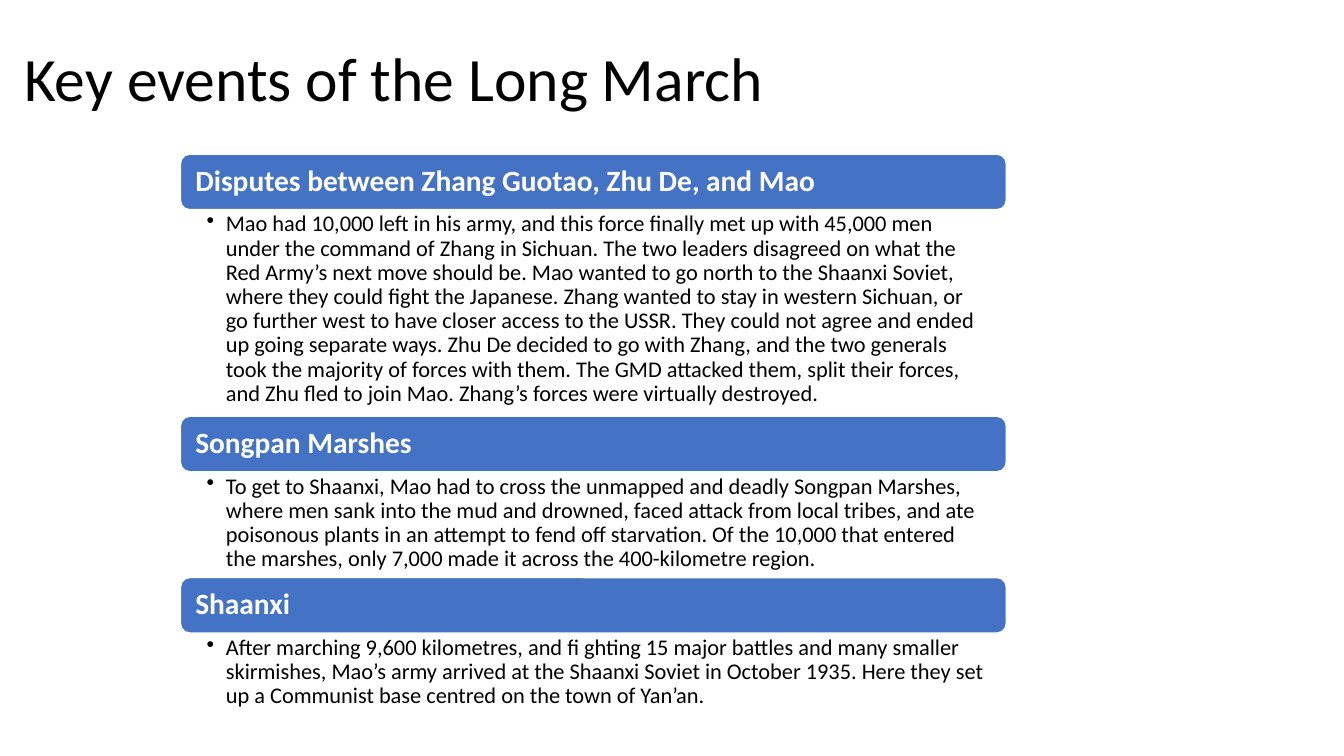
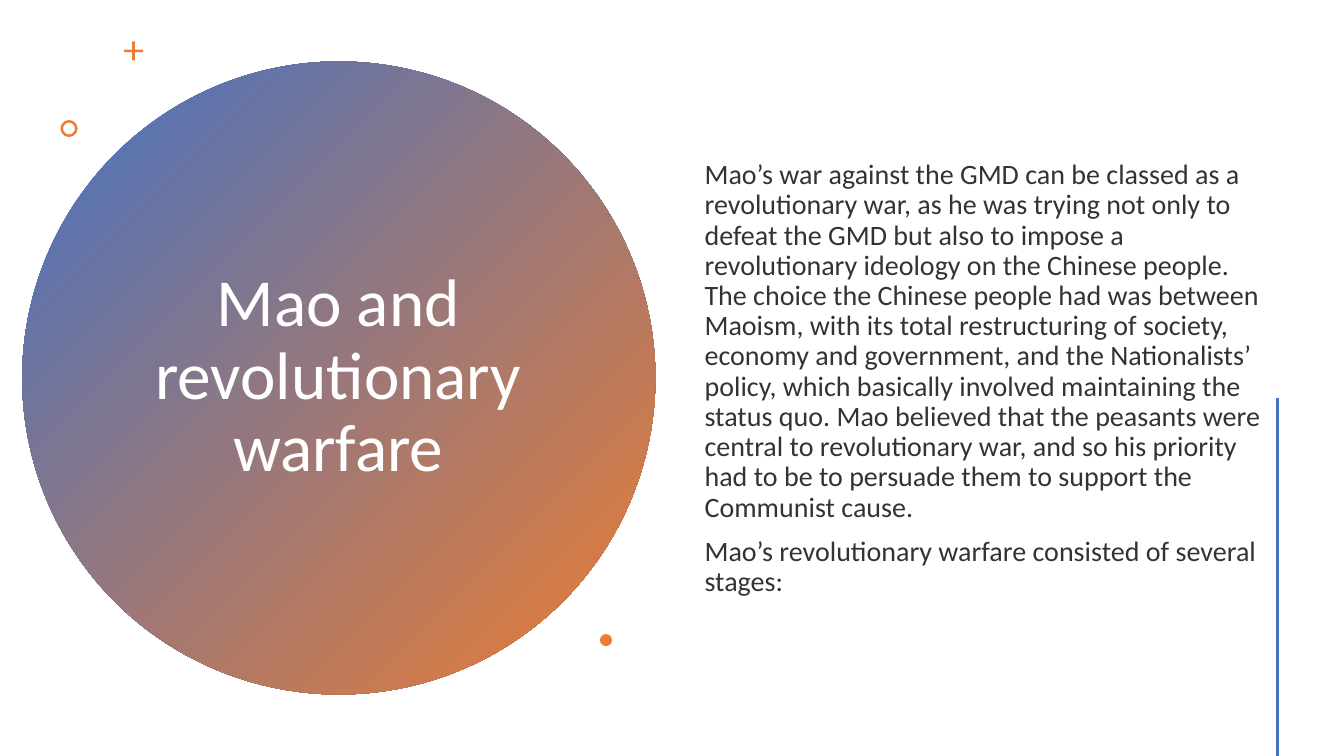
from lxml import etree
from pptx import Presentation
from pptx.dml.color import RGBColor
from pptx.enum.shapes import MSO_CONNECTOR, MSO_SHAPE
from pptx.enum.text import MSO_ANCHOR, PP_ALIGN
from pptx.oxml.ns import qn
from pptx.util import Inches, Pt

STRAIGHT = MSO_CONNECTOR.STRAIGHT
ROUNDED, OVAL = MSO_SHAPE.ROUNDED_RECTANGLE, MSO_SHAPE.OVAL
CROSS, DONUT = MSO_SHAPE.CROSS, MSO_SHAPE.DONUT
TOP, MIDDLE = MSO_ANCHOR.TOP, MSO_ANCHOR.MIDDLE
LEFT, CENTER = PP_ALIGN.LEFT, PP_ALIGN.CENTER

FONT = "Calibri"
BLUE, ORANGE = "4472C4", "ED7D31"
WHITE, BLACK, DARK_GREY = "FFFFFF", "000000", "333333"
LINE_SPACING = 0.9
BOX_INSETS = (0.1, 0.05, 0.1, 0.05)

HEADER_HEIGHT = 0.55
BULLET_INDENT = 0.19

EVENTS = [
    (
        "Disputes between Zhang Guotao, Zhu De, and Mao",
        "Mao had 10,000 left in his army, and this force finally met up with 45,000 men "
        "under the command of Zhang in Sichuan. The two leaders disagreed on what the "
        "Red Army’s next move should be. Mao wanted to go north to the Shaanxi Soviet, "
        "where they could fight the Japanese. Zhang wanted to stay in western Sichuan, or "
        "go further west to have closer access to the USSR. They could not agree and ended "
        "up going separate ways. Zhu De decided to go with Zhang, and the two generals "
        "took the majority of forces with them. The GMD attacked them, split their forces, "
        "and Zhu fled to join Mao. Zhang’s forces were virtually destroyed.",
        2.05,
    ),
    (
        "Songpan Marshes",
        "To get to Shaanxi, Mao had to cross the unmapped and deadly Songpan Marshes, "
        "where men sank into the mud and drowned, faced attack from local tribes, and ate "
        "poisonous plants in an attempt to fend off starvation. Of the 10,000 that entered "
        "the marshes, only 7,000 made it across the 400-kilometre region.",
        1.05,
    ),
    (
        "Shaanxi",
        "After marching 9,600 kilometres, and fi ghting 15 major battles and many smaller "
        "skirmishes, Mao’s army arrived at the Shaanxi Soviet in October 1935. Here they set "
        "up a Communist base centred on the town of Yan’an.",
        0.81,
    ),
]

WARFARE = [
    "Mao’s war against the GMD can be classed as a revolutionary war, as he was trying "
    "not only to defeat the GMD but also to impose a revolutionary ideology on the Chinese "
    "people. The choice the Chinese people had was between Maoism, with its total "
    "restructuring of society, economy and government, and the Nationalists’ policy, which "
    "basically involved maintaining the status quo. Mao believed that the peasants were "
    "central to revolutionary war, and so his priority had to be to persuade them to support "
    "the Communist cause.",
    "Mao’s revolutionary warfare consisted of several stages:",
]


def rgb(value):
    return RGBColor.from_string(value)


def inches(*lengths):
    return [Inches(length) for length in lengths]


def add_bullet(paragraph):
    properties = paragraph._p.get_or_add_pPr()
    properties.set("marL", str(Inches(BULLET_INDENT)))
    properties.set("indent", str(-Inches(BULLET_INDENT)))
    etree.SubElement(properties, qn("a:buChar")).set("char", "•")


def write(shape, texts, size, color, bold=False, align=LEFT, anchor=MIDDLE,
          insets=BOX_INSETS, bulleted=False, gap=0):
    frame = shape.text_frame
    frame.word_wrap = True
    frame.vertical_anchor = anchor
    (frame.margin_left, frame.margin_top,
     frame.margin_right, frame.margin_bottom) = inches(*insets)
    for index, text in enumerate(texts):
        paragraph = frame.add_paragraph() if index else frame.paragraphs[0]
        paragraph.text = text
        if bulleted:
            add_bullet(paragraph)
        paragraph.alignment = align
        paragraph.line_spacing = LINE_SPACING
        if index:
            paragraph.space_before = Pt(gap)
        font = paragraph.runs[0].font
        font.name, font.size, font.bold = FONT, Pt(size), bold
        font.color.rgb = rgb(color)


def add_text(slide, box, texts, size, color, **style):
    write(slide.shapes.add_textbox(*inches(*box)), texts, size, color, **style)


def add_solid(slide, kind, box, color, outline=None, adjustment=None):
    shape = slide.shapes.add_shape(kind, *inches(*box))
    shape.shadow.inherit = False
    shape.fill.solid()
    shape.fill.fore_color.rgb = rgb(color)
    if outline:
        shape.line.color.rgb = rgb(outline)
        shape.line.width = Pt(1)
    else:
        shape.line.fill.background()
    if adjustment is not None:
        shape.adjustments[0] = adjustment
    return shape


def add_event(slide, left, top, width, heading, detail, detail_height):
    header = add_solid(slide, ROUNDED, (left, top, width, HEADER_HEIGHT), BLUE, WHITE)
    write(header, [heading], 21, WHITE, bold=True, insets=(0.12, 0.09, 0.12, 0.09))
    add_text(slide, (left, top + HEADER_HEIGHT, width, detail_height), [detail], 16, BLACK,
             anchor=TOP, insets=(0.26, 0.03, 0.16, 0.03), bulleted=True)
    return top + HEADER_HEIGHT + detail_height


def add_title_circle(slide, left, top, size, title):
    circle = add_solid(slide, OVAL, (left, top, size, size), BLUE)
    circle.fill.gradient()
    circle.fill.gradient_angle = 315
    for stop, color in zip(circle.fill.gradient_stops, (BLUE, ORANGE)):
        stop.color.rgb = rgb(color)
    add_text(slide, (left + 1.14, top + 0.8, 3.99, 4.67), [title], 48, WHITE, align=CENTER)
    add_solid(slide, CROSS, (left + 1.01, top - 0.2, 0.19, 0.19), ORANGE, adjustment=0.43)
    add_solid(slide, DONUT, (left + 0.38, top + 0.58, 0.17, 0.17), ORANGE, adjustment=0.15)
    add_solid(slide, OVAL, (left + 5.73, top + 5.68, 0.12, 0.12), ORANGE)


def add_accent_line(slide, left, top, bottom):
    line = slide.shapes.add_connector(STRAIGHT, *inches(left, top, left, bottom))
    line.line.color.rgb = rgb(BLUE)
    line.line.width = Pt(2)
    etree.SubElement(line._element.spPr, qn("a:effectLst"))


def build_events_slide(slide):
    add_text(slide, (0.14, 0.08, 11.5, 1.45), ["Key events of the Long March"], 44, BLACK)
    top = 1.53
    for heading, detail, detail_height in EVENTS:
        top = add_event(slide, 1.79, top, 8.19, heading, detail, detail_height)


def build_warfare_slide(slide):
    add_title_circle(slide, 0.22, 0.61, 6.28, "Mao and revolutionary warfare")
    add_text(slide, (6.89, 0.57, 5.84, 6.38), WARFARE, 20, DARK_GREY, gap=10)
    add_accent_line(slide, 12.67, 3.95, 7.5)


def main():
    presentation = Presentation()
    presentation.slide_width, presentation.slide_height = inches(13.33, 7.5)
    for build in (build_events_slide, build_warfare_slide):
        build(presentation.slides.add_slide(presentation.slide_layouts[6]))
    presentation.save("out.pptx")


if __name__ == "__main__":
    main()
